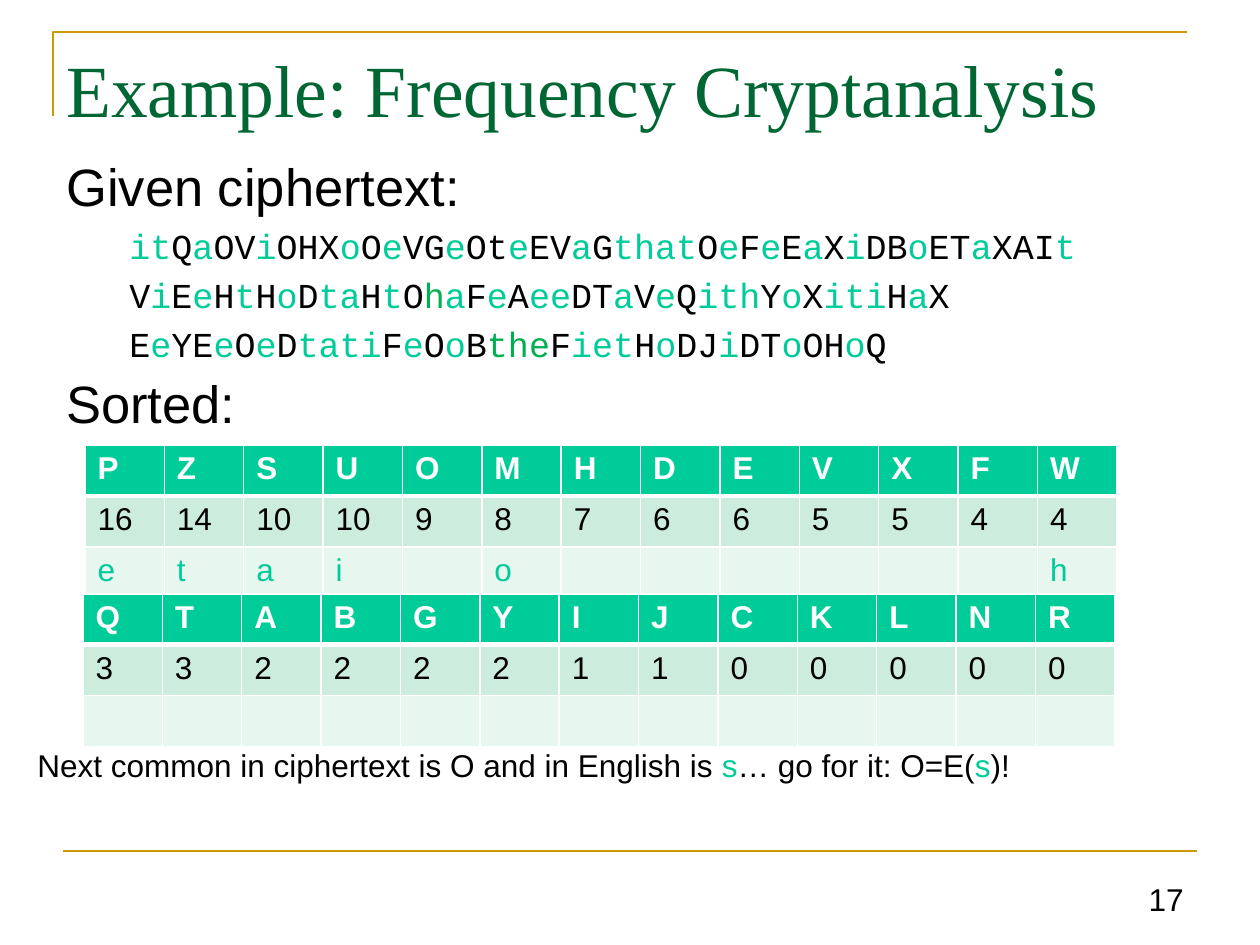
from itertools import groupby

from lxml.etree import SubElement
from pptx import Presentation
from pptx.dml.color import RGBColor
from pptx.enum.shapes import MSO_CONNECTOR
from pptx.enum.text import MSO_ANCHOR, PP_ALIGN
from pptx.oxml.ns import qn
from pptx.util import Emu, Pt

COLORS = {
    "gold": "CC9900", "title": "006633", "black": "000000", "white": "FFFFFF",
    "teal": "00CC99", "green": "00B050", "count": "CCECDE", "guess": "E7F6EF",
}
CIPHERTEXT = [
    [("itQaOViOHXoOeVGeO", None), ("t", "black"),
     ("eEVaGthatOeFeEaXiDBoETaXAIt", None)],
    [("ViEeHtHoDtaHtO", None), ("h", "green"),
     ("aFeAeeDTaVeQithYoXitiHaX", None)],
    [("EeYEeOeDtatiFeOoB", None), ("the", "green"),
     ("FietHoDJiDToOHoQ", None)],
]
COMMON = [
    list("PZSUOMHDEVXFW"),
    [16, 14, 10, 10, 9, 8, 7, 6, 6, 5, 5, 4, 4],
    ["e", "t", "a", "i", "", "o", "", "", "", "", "", "", "h"],
]
RARE = [
    list("QTABGYIJCKLNR"),
    [3, 3, 2, 2, 2, 2, 1, 1, 0, 0, 0, 0, 0],
    [""] * 13,
]


def px(length):
    """Turn pixels into EMU at 126 pixels to the inch."""
    return Emu(round(length * 914400 / 126))


def rgb(name):
    """Look up a named colour."""
    return RGBColor.from_string(COLORS[name])


def add_span(para, text, font="Arial", size=18, color="black", bold=False):
    """Append formatted text to a paragraph."""
    span = para.add_run()
    span.text = text
    span.font.name = font
    span.font.size = Pt(size)
    span.font.bold = bold
    span.font.color.rgb = rgb(color)


def add_cipher(para, pieces):
    """Append ciphertext, with solved lowercase letters in teal."""
    for text, color in pieces:
        for solved, letters in groupby(text, str.islower):
            tone = color or ("teal" if solved else "black")
            add_span(para, "".join(letters), font="Courier New", size=20, color=tone)


class SlideBuilder:
    """Draw elements in the deck's style on the current page."""

    def __init__(self, page):
        """Keep the page and the rule style."""
        self.page = page
        self.rule_color = "gold"
        self.rule_width = Pt(1.5)

    def style_rule(self, shape):
        """Give a line the rule style."""
        shape.line.color.rgb = rgb(self.rule_color)
        shape.line.width = self.rule_width

    def corner(self, left, top, right, bottom):
        """Draw the open corner above the title."""
        builder = self.page.shapes.build_freeform(px(left), px(bottom))
        builder.add_line_segments(
            [(px(left), px(top)), (px(right), px(top))], close=False)
        shape = builder.convert_to_shape()
        shape.fill.background()
        shape.shadow.inherit = False
        self.style_rule(shape)

    def rule(self, left, right, y):
        """Draw a horizontal rule."""
        line = self.page.shapes.add_connector(
            MSO_CONNECTOR.STRAIGHT, px(left), px(y), px(right), px(y))
        self.style_rule(line)
        SubElement(line._element.spPr, qn("a:effectLst"))

    def text_box(self, left, top, width, height, wrap=True, anchor=MSO_ANCHOR.TOP):
        """Add a text box and return its frame."""
        box = self.page.shapes.add_textbox(px(left), px(top), px(width), px(height))
        frame = box.text_frame
        frame.word_wrap = wrap
        frame.vertical_anchor = anchor
        return frame

    def body_para(self, para, margin, hanging, before, level=0):
        """Set the indent and spacing of a body paragraph."""
        para.level = level
        para.line_spacing = 0.9
        para.space_before = Pt(before)
        properties = para._p.get_or_add_pPr()
        properties.set("marL", str(px(margin)))
        properties.set("indent", str(px(-hanging)))
        return para

    def borders(self, cell, top, bottom):
        """Draw white cell borders with the given top and bottom widths."""
        properties = cell._tc.get_or_add_tcPr()
        for side, width in (("L", 1), ("R", 1), ("T", top), ("B", bottom)):
            line = SubElement(properties, qn(f"a:ln{side}"), w=str(Pt(width)))
            fill = SubElement(line, qn("a:solidFill"))
            SubElement(fill, qn("a:srgbClr"), val=COLORS["white"])

    def table(self, left, top, width, heights, rows):
        """Add a frequency table of letters, counts and guesses."""
        table = self.page.shapes.add_table(
            len(rows), len(rows[0]), px(left), px(top), px(width),
            px(sum(heights))).table
        styles = [("teal", "white", 1, 3), ("count", "black", 3, 1),
                  ("guess", "teal", 1, 1)]
        for r, (values, height, style) in enumerate(zip(rows, heights, styles)):
            fill, color, above, below = style
            table.rows[r].height = px(height)
            for c, value in enumerate(values):
                cell = table.cell(r, c)
                self.borders(cell, above, below)
                cell.fill.solid()
                cell.fill.fore_color.rgb = rgb(fill)
                if value != "":
                    add_span(cell.text_frame.paragraphs[0], str(value),
                             color=color, bold=r == 0)


def main():
    """Build and save the slide."""
    deck = Presentation()
    deck.slide_width, deck.slide_height = px(1260), px(945)
    builder = SlideBuilder(deck.slides.add_slide(deck.slide_layouts[6]))

    builder.corner(53, 32, 1187, 116)
    builder.rule(63, 1197, 851)

    title = builder.text_box(54, 38, 1143, 189)
    add_span(title.paragraphs[0], "Example: Frequency Cryptanalysis",
             font="Times New Roman", size=42, color="title")

    body = builder.text_box(54, 155, 1187, 290)
    para = builder.body_para(body.paragraphs[0], 48, 48, 7.5)
    add_span(para, "Given ciphertext:", size=30)
    for pieces in CIPHERTEXT:
        add_cipher(builder.body_para(body.add_paragraph(), 102, 39, 6.5, 1), pieces)
    para = builder.body_para(body.add_paragraph(), 48, 48, 7.5)
    add_span(para, "Sorted:", size=30)

    builder.table(85, 445, 1032, [51, 51, 51], COMMON)
    builder.table(83, 594, 1032, [42, 51, 51], RARE)

    note = builder.text_box(25, 740, 1007, 50, wrap=False).paragraphs[0]
    for text, color in (
            ("Next common in ciphertext is O and in English is ", "black"),
            ("s", "teal"), ("… go for it: O=E(", "black"),
            ("s", "teal"), (")!", "black")):
        add_span(note, text, color=color)

    number = builder.text_box(1129, 862, 67, 62, anchor=MSO_ANCHOR.BOTTOM)
    number.paragraphs[0].alignment = PP_ALIGN.RIGHT
    add_span(number.paragraphs[0], "17")

    deck.save("out.pptx")


if __name__ == "__main__":
    main()
